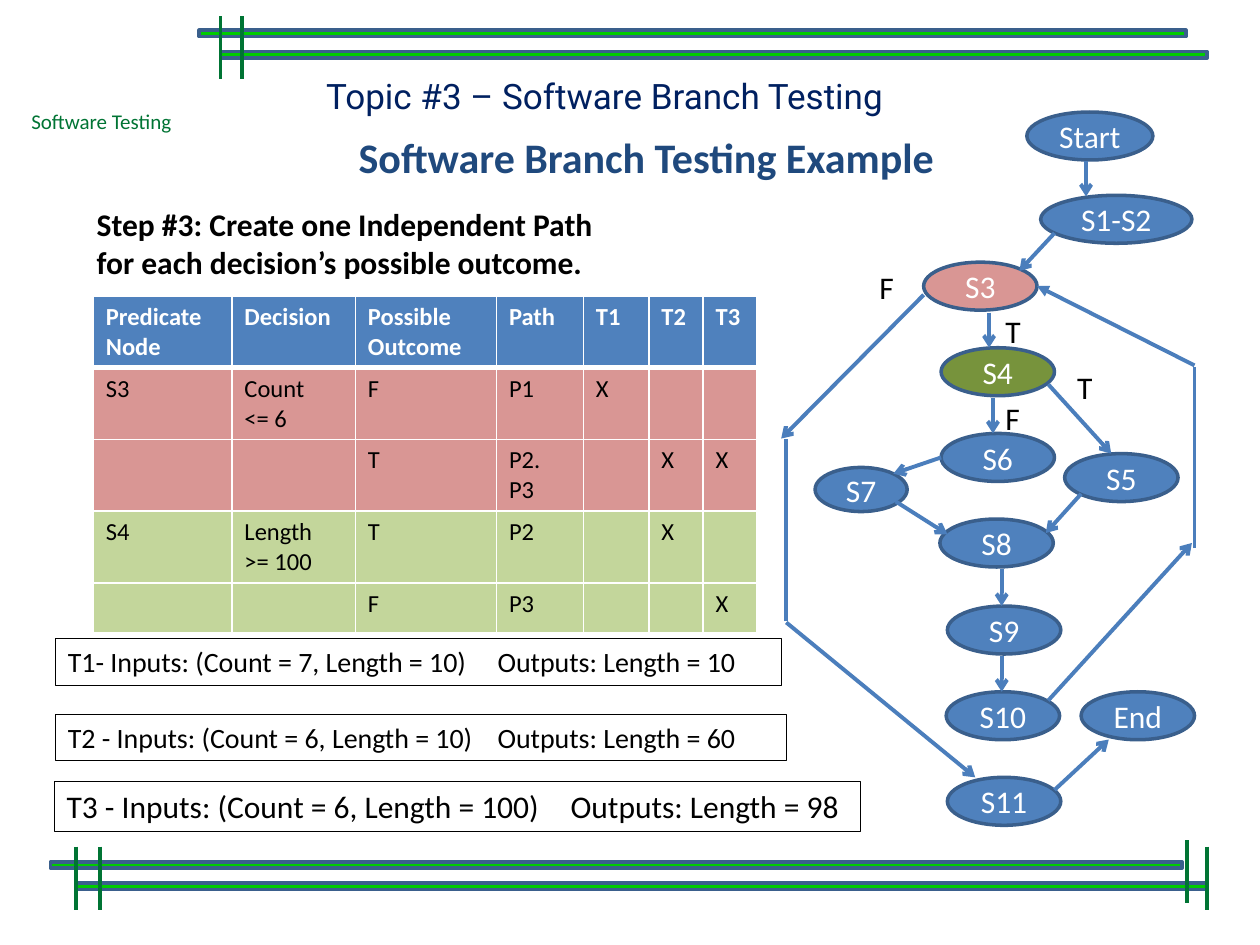
from lxml import etree
from pptx import Presentation
from pptx.dml.color import RGBColor
from pptx.enum import shapes, text
from pptx.oxml import ns
from pptx.util import Pt

BLACK, WHITE, BLUE = "000000", "FFFFFF", "4F81BD"
EDGE, ARROW, RED, LIME = "3A5F8C", "4B7EBC", "D99694", "C3D69B"
GREEN, BAR = "007434", "00CC00"

NODES = [
    ("Start", 142.8, 0, 72, 27.4, BLUE),
    ("S1-S2", 150.7, 47.6, 86.4, 27.4, BLUE),
    ("S3", 83.8, 85.8, 64.8, 27.4, RED),
    ("S4", 93.8, 134.7, 64.8, 27.4, "77933C"),
    ("S5", 164.4, 195.2, 64.8, 27.4, BLUE),
    ("S6", 93.8, 183.7, 64.8, 27.4, BLUE),
    ("S7", 21.8, 203.1, 52.6, 25.2, BLUE),
    ("S8", 93.1, 232.6, 64.8, 27.4, BLUE),
    ("S9", 97.4, 282.3, 64.8, 27.4, BLUE),
    ("S10", 96.7, 331.3, 64.8, 27.4, BLUE),
    ("S11", 97.4, 380.2, 64.8, 27.4, BLUE),
    ("End", 173.8, 331.3, 64.8, 27.4, BLUE),
]
EDGES = [
    (176.6, 28.2, 176.6, 48.3, "arrow"),
    (158.6, 69.2, 138.5, 90.8, "arrow"),
    (121.2, 114.6, 121.2, 134.7, "arrow"),
    (123.4, 163.5, 123.4, 183.7, "arrow"),
    (155, 155.6, 191, 195.2, "arrow"),
    (93.8, 197.4, 66.5, 206.7, "arrow"),
    (173.8, 218.2, 153.6, 240.6, "arrow"),
    (67.9, 222.6, 97.4, 241.3, "arrow"),
    (128.4, 261.4, 128.4, 282.3, "arrow"),
    (128.4, 311.1, 128.4, 331.3, "arrow"),
    (155, 336.3, 237.1, 246.3, "arrow"),
    (238.6, 249.2, 238.6, 145.5, None),
    (238.6, 144.8, 148.6, 99.4, "triangle"),
    (83.8, 104.5, 2.4, 186.6, "arrow"),
    (5.3, 291, 5.3, 186.6, None),
    (5.3, 291.7, 113.3, 380.2, "arrow"),
    (158.6, 387.4, 189.6, 358.6, "arrow"),
]
BRANCHES = [("F", 51.4, 85.8), ("T", 123.4, 111), ("T", 164.4, 142.6), ("F", 123.4, 160.6)]

COLUMNS = [79.2, 70.6, 80.6, 49.7, 37.4, 31, 31]
ROWS = [
    (40.6, BLUE, ["Predicate Node", "Decision", "Possible Outcome", "Path", "T1", "T2", "T3"]),
    (41, RED, ["S3", "Count\n<= 6", "F", "P1", "X", "", ""]),
    (41, RED, ["", "", "T", "P2. P3", "", "X", "X"]),
    (41, LIME, ["S4", "Length\n>= 100", "T", "P2", "", "X", ""]),
    (26.5, LIME, ["", "", "F", "P3", "", "", "X"]),
]


def rgb(value):
    """Turn a hex string into a colour."""
    return RGBColor.from_string(value)


def write(frame, words, size, color, bold=False, font="Calibri", align=None):
    """Fill a text frame and format all its runs."""
    frame.text = words
    for paragraph in frame.paragraphs:
        paragraph.alignment = align
        for run in paragraph.runs:
            run.font.name, run.font.size = font, Pt(size)
            run.font.bold, run.font.color.rgb = bold, rgb(color)


def add_box(slide, kind, left, top, width, height, fill=None, line=None, weight=2):
    """Add a preset shape without a shadow."""
    shape = slide.shapes.add_shape(kind, Pt(left), Pt(top), Pt(width), Pt(height))
    shape.shadow.inherit = False
    if fill:
        shape.fill.solid()
        shape.fill.fore_color.rgb = rgb(fill)
    else:
        shape.fill.background()
    if line:
        shape.line.color.rgb, shape.line.width = rgb(line), Pt(weight)
    else:
        shape.line.fill.background()
    return shape


def add_line(slide, x1, y1, x2, y2, color, tail=None):
    """Add a straight line with an optional arrowhead at its end."""
    line = slide.shapes.add_connector(
        shapes.MSO_CONNECTOR.STRAIGHT, Pt(x1), Pt(y1), Pt(x2), Pt(y2))
    line.line.color.rgb, line.line.width = rgb(color), Pt(2.25)
    if tail:
        etree.SubElement(line.line._get_or_add_ln(), ns.qn("a:tailEnd"), type=tail)
    etree.SubElement(line._element.spPr, ns.qn("a:effectLst"))


def add_label(slide, left, top, width, height, words, size, color, **style):
    """Add a text box on one line per paragraph."""
    label = slide.shapes.add_textbox(Pt(left), Pt(top), Pt(width), Pt(height))
    label.text_frame.word_wrap = False
    write(label.text_frame, words, size, color, **style)
    return label


def add_rails(slide, left, top, width, step, ticks):
    """Draw two staggered bars crossed by upright ticks."""
    for index in range(2):
        add_box(slide, shapes.MSO_SHAPE.FLOWCHART_PROCESS, left + index * step,
                top + index * 12.2, width, 3.6, BAR, EDGE)
    for x, y in ticks:
        add_line(slide, left + x, top + y, left + x, top + y + 36, GREEN)


def add_titles(slide, left, top):
    """Place the topic and the heading below it."""
    topic = add_label(slide, left + 17.3, top, 388.8, 31.7,
                      "Topic #3 – Software Branch Testing", 20, "002060", font="Roboto")
    topic.fill.solid()
    topic.fill.fore_color.rgb = rgb(WHITE)
    heading = add_box(slide, shapes.MSO_SHAPE.RECTANGLE, left, top + 32.4, 414.7, 39.6, WHITE)
    frame = heading.text_frame
    frame.margin_left = frame.margin_right = frame.margin_top = frame.margin_bottom = Pt(11.5)
    frame.vertical_anchor = text.MSO_ANCHOR.MIDDLE
    write(frame, "Software Branch Testing Example", 24, "1F497D", True,
          align=text.PP_ALIGN.CENTER)
    frame.paragraphs[0].line_spacing = 0.9


def set_borders(cell, top, bottom):
    """Give a cell white borders of the given weights."""
    properties = cell._tc.get_or_add_tcPr()
    for index, (side, weight) in enumerate(
            [("lnL", 1), ("lnR", 1), ("lnT", top), ("lnB", bottom)]):
        border = etree.Element(ns.qn("a:" + side), w=str(Pt(weight)))
        fill = etree.SubElement(border, ns.qn("a:solidFill"))
        etree.SubElement(fill, ns.qn("a:srgbClr"), val=WHITE)
        properties.insert(index, border)


def add_path_table(slide, left, top):
    """Place the table of decisions and paths."""
    height = sum(row[0] for row in ROWS)
    table = slide.shapes.add_table(len(ROWS), len(COLUMNS), Pt(left), Pt(top),
                                   Pt(sum(COLUMNS)), Pt(height)).table
    for column, width in zip(table.columns, COLUMNS):
        column.width = Pt(width)
    for r, (row_height, fill, words) in enumerate(ROWS):
        table.rows[r].height = Pt(row_height)
        for c, word in enumerate(words):
            cell = table.cell(r, c)
            cell.fill.solid()
            cell.fill.fore_color.rgb = rgb(fill)
            set_borders(cell, 3 if r == 1 else 1, 3 if r == 0 else 1)
            write(cell.text_frame, word, 14, BLACK if r else WHITE, r == 0)


def add_test_case(slide, left, top, width, height, inputs, outputs, size, stop):
    """Place a framed test case with its outputs at a tab stop."""
    shape = add_box(slide, shapes.MSO_SHAPE.RECTANGLE, left, top, width, height,
                    line=BLACK, weight=0.5)
    frame = shape.text_frame
    frame.vertical_anchor = text.MSO_ANCHOR.TOP
    write(frame, f"{inputs}\t{outputs}", size, BLACK, align=text.PP_ALIGN.LEFT)
    tabs = etree.SubElement(frame.paragraphs[0]._p.get_or_add_pPr(), ns.qn("a:tabLst"))
    etree.SubElement(tabs, ns.qn("a:tab"), pos=str(Pt(stop)), algn="l")


def add_flow_graph(slide, left, top):
    """Place the nodes, edges and branch letters of the flow graph."""
    for name, x, y, width, height, fill in NODES:
        node = add_box(slide, shapes.MSO_SHAPE.OVAL, left + x, top + y, width, height, fill, EDGE)
        node.text_frame.word_wrap = False
        node.text_frame.vertical_anchor = text.MSO_ANCHOR.MIDDLE
        write(node.text_frame, name, 18, WHITE, align=text.PP_ALIGN.CENTER)
    for x1, y1, x2, y2, tail in EDGES:
        add_line(slide, left + x1, top + y1, left + x2, top + y2, ARROW, tail)
    for letter, x, y in BRANCHES:
        add_label(slide, left + x, top + y, 19.4, 26.6, letter, 18, BLACK)


def main():
    """Build the slide and save it."""
    presentation = Presentation()
    presentation.slide_width, presentation.slide_height = Pt(720), Pt(540)
    slide = presentation.slides.add_slide(presentation.slide_layouts[6])
    add_label(slide, 10.8, 58.3, 95.8, 21.6, "Software Testing", 12, GREEN)
    add_rails(slide, 113.8, 17.3, 563.8, 12.2, [(12.2, -7.9), (24.4, -7.9)])
    add_rails(slide, 28.8, 492.5, 646.6, 14.4,
              [(14.4, -8.7), (28.1, -8.7), (661, -8.7), (649.4, -12.3)])
    add_titles(slide, 162, 38.9)
    add_label(slide, 48.2, 113.8, 308.9, 51.1, "Step #3: Create one Independent Path\n"
              "for each decision’s possible outcome.", 18, BLACK, bold=True)
    add_path_table(slide, 53.3, 169.2)
    add_flow_graph(slide, 444, 64)
    add_test_case(slide, 31.7, 365, 414.7, 26.6, "T1- Inputs: (Count = 7, Length = 10)",
                  "Outputs: Length = 10", 16, 245.6)
    add_test_case(slide, 31.7, 408.2, 417.6, 26.6, "T2 - Inputs: (Count = 6, Length = 10)",
                  "Outputs: Length = 60", 16, 245.6)
    add_test_case(slide, 31, 446.4, 460.8, 28.8, "T3 - Inputs: (Count = 6, Length = 100)",
                  "Outputs: Length = 98", 18, 288)
    presentation.save("out.pptx")


if __name__ == "__main__":
    main()
